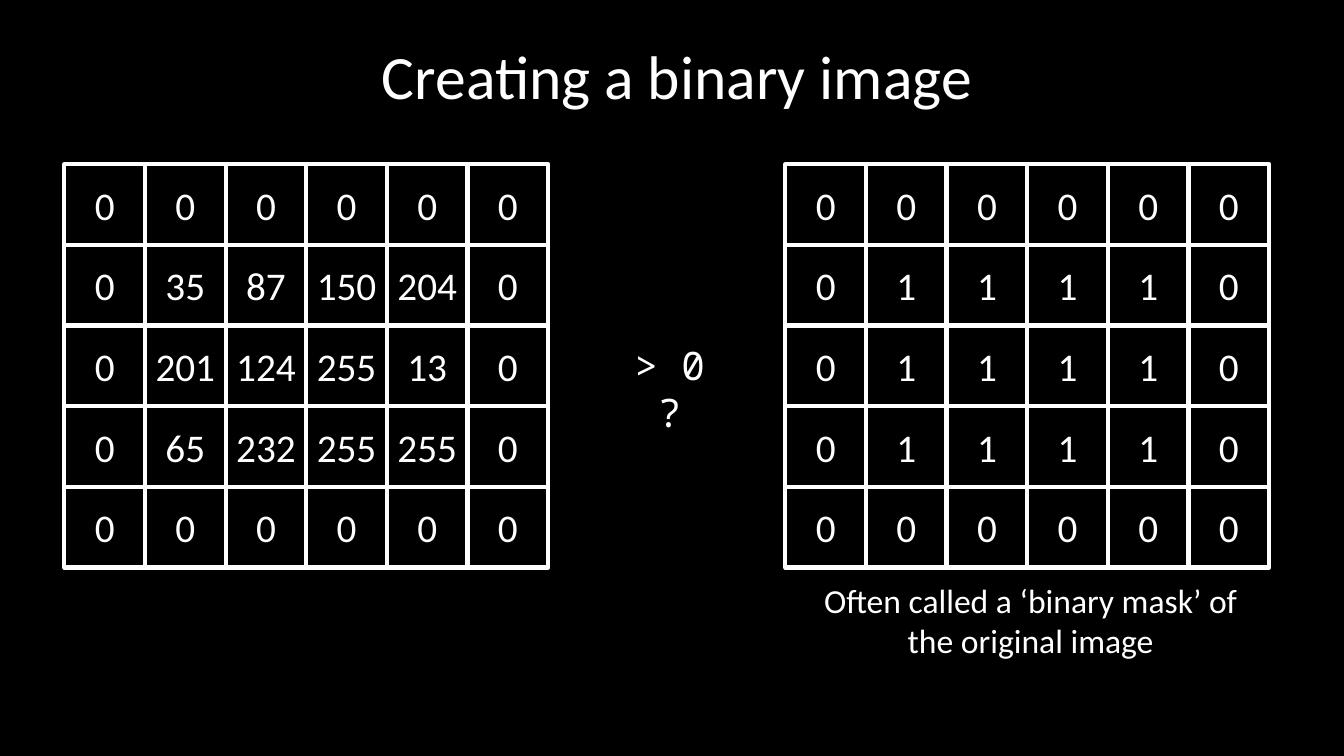
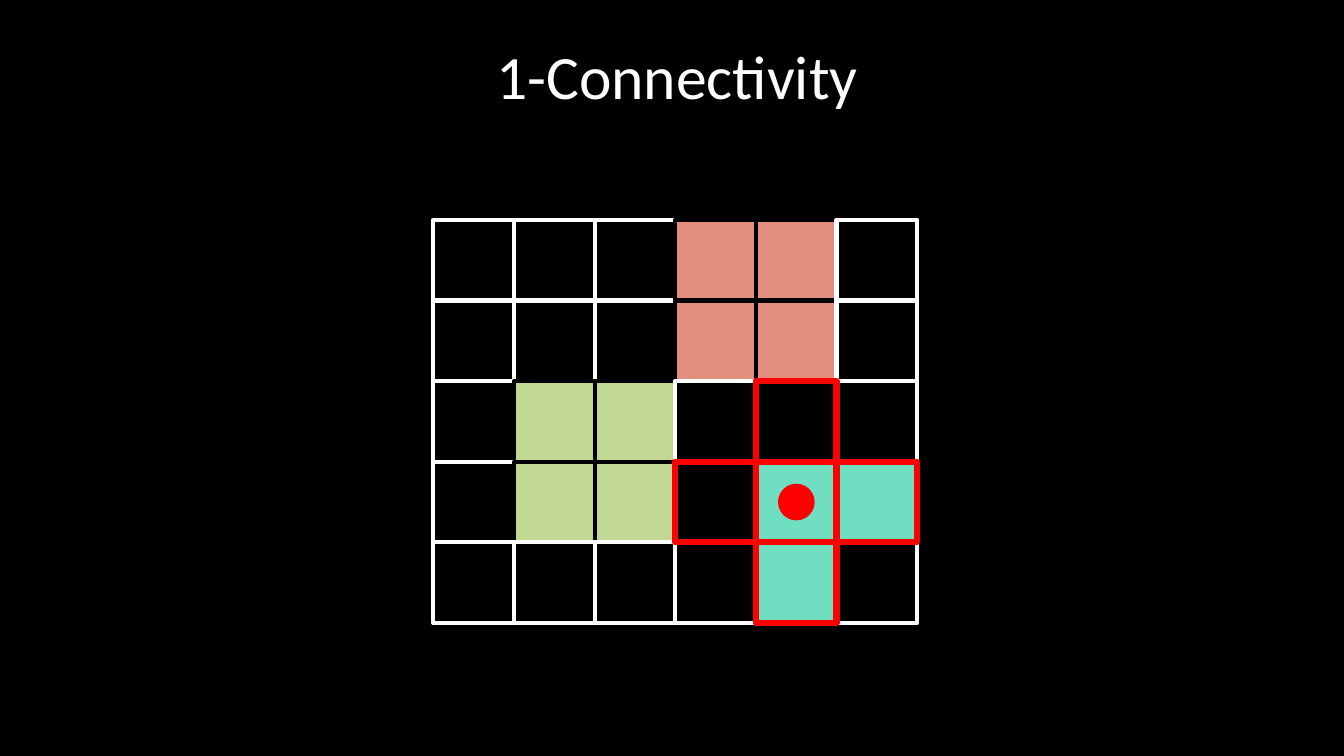
"""Build two slides on binary images and 1-connectivity of pixels."""
import dataclasses

import pptx
import pptx.dml.color
import pptx.enum.shapes
import pptx.enum.text
import pptx.util

Pt = pptx.util.Pt
RGB = pptx.dml.color.RGBColor.from_string
SHAPE = pptx.enum.shapes.MSO_SHAPE
ANCHOR = pptx.enum.text.MSO_ANCHOR


@dataclasses.dataclass(frozen=True)
class Theme:
    back: str = "000000"
    text: str = "FFFFFF"
    red: str = "FF0000"
    salmon: str = "E28F7D"
    green: str = "C1D892"
    teal: str = "70DEC1"
    font: str = "Calibri"
    mono: str = "Noto Sans Mono"
    title: int = 44
    body: int = 28
    caption: int = 24
    grid_line: float = 3
    mark_line: float = 4.5


theme = Theme()
CELL = 57.6


def write(sp, text, size=theme.body, font=theme.font, anchor=ANCHOR.MIDDLE, wrap=True, spacing=1.0):
    """Fill a shape with centred text, one paragraph per line."""
    tf = sp.text_frame
    tf.word_wrap = wrap
    tf.vertical_anchor = anchor
    for i, line in enumerate(text.split("\n")):
        p = tf.paragraphs[0] if i == 0 else tf.add_paragraph()
        p.alignment = pptx.enum.text.PP_ALIGN.CENTER
        p.line_spacing = spacing
        r = p.add_run()
        r.text = line
        r.font.size = Pt(size)
        r.font.name = font
        r.font.color.rgb = RGB(theme.text)


def add_box(shapes, kind, left, top, size, line, width, fill=None):
    """Add an outlined shape of equal width and height."""
    sp = shapes.add_shape(kind, Pt(left), Pt(top), Pt(size), Pt(size))
    sp.shadow.inherit = False
    sp.line.color.rgb = RGB(line)
    sp.line.width = Pt(width)
    if fill:
        sp.fill.solid()
        sp.fill.fore_color.rgb = RGB(fill)
    else:
        sp.fill.background()
    return sp


prs = pptx.Presentation()
prs.slide_width, prs.slide_height = Pt(960), Pt(540)
back = prs.slide_master.background.fill
back.solid()
back.fore_color.rgb = RGB(theme.back)

slides = []
for title in ("Creating a binary image", "1-Connectivity"):
    s = prs.slides.add_slide(prs.slide_layouts[6])
    write(s.shapes.add_textbox(Pt(69.8), Pt(4.3), Pt(828), Pt(104.4)), title, size=theme.title, spacing=0.9)
    slides.append(s)
binary, connectivity = slides

pixels = [
    [0, 0, 0, 0, 0, 0],
    [0, 35, 87, 150, 204, 0],
    [0, 201, 124, 255, 13, 0],
    [0, 65, 232, 255, 255, 0],
    [0, 0, 0, 0, 0, 0],
]
mask = [[int(value > 0) for value in row] for row in pixels]
objects = ["...RR.", "...RR.", ".GG...", ".GG.TT", "....T."]
object_fills = {"R": theme.salmon, "G": theme.green, "T": theme.teal}

left_block = [(row, col) for row in range(5) for col in range(3)]
right_block = [(row, col) for col in range(3, 6) for row in range(5)]
objects_left, objects_top = 309.6, 157
grids = (
    (binary, 46, 117.4, pixels),
    (binary, 561, 117.4, mask),
    (connectivity, objects_left, objects_top, objects),
)
for s, left, top, rows in grids:
    shapes = s.shapes.add_group_shape().shapes
    for row, col in left_block + right_block:
        value = rows[row][col]
        fill = object_fills.get(value)
        line = theme.back if fill else theme.text
        sp = add_box(shapes, SHAPE.RECTANGLE, left + col * CELL, top + row * CELL, CELL,
                     line, theme.grid_line, fill)
        if rows is not objects:
            write(sp, str(value))

write(binary.shapes.add_textbox(Pt(446), Pt(240.5), Pt(64.8), Pt(75)), "> 0\n?",
      font=theme.mono, anchor=ANCHOR.TOP, wrap=False)
write(binary.shapes.add_textbox(Pt(579.6), Pt(410.4), Pt(313.2), Pt(94.3)),
      "Often called a ‘binary mask’ of the original image", size=theme.caption, anchor=ANCHOR.TOP)

centre_row, centre_col, dot = 3, 4, 25.2
shapes = connectivity.shapes.add_group_shape().shapes
for d_row, d_col in ((-1, 0), (0, -1), (0, 0), (0, 1), (1, 0)):
    add_box(shapes, SHAPE.RECTANGLE, objects_left + (centre_col + d_col) * CELL,
            objects_top + (centre_row + d_row) * CELL, CELL, theme.red, theme.mark_line)
inset = (CELL - dot) / 2
add_box(shapes, SHAPE.OVAL, objects_left + centre_col * CELL + inset,
        objects_top + centre_row * CELL + inset, dot, theme.red, 1, theme.red)

prs.save("out.pptx")
